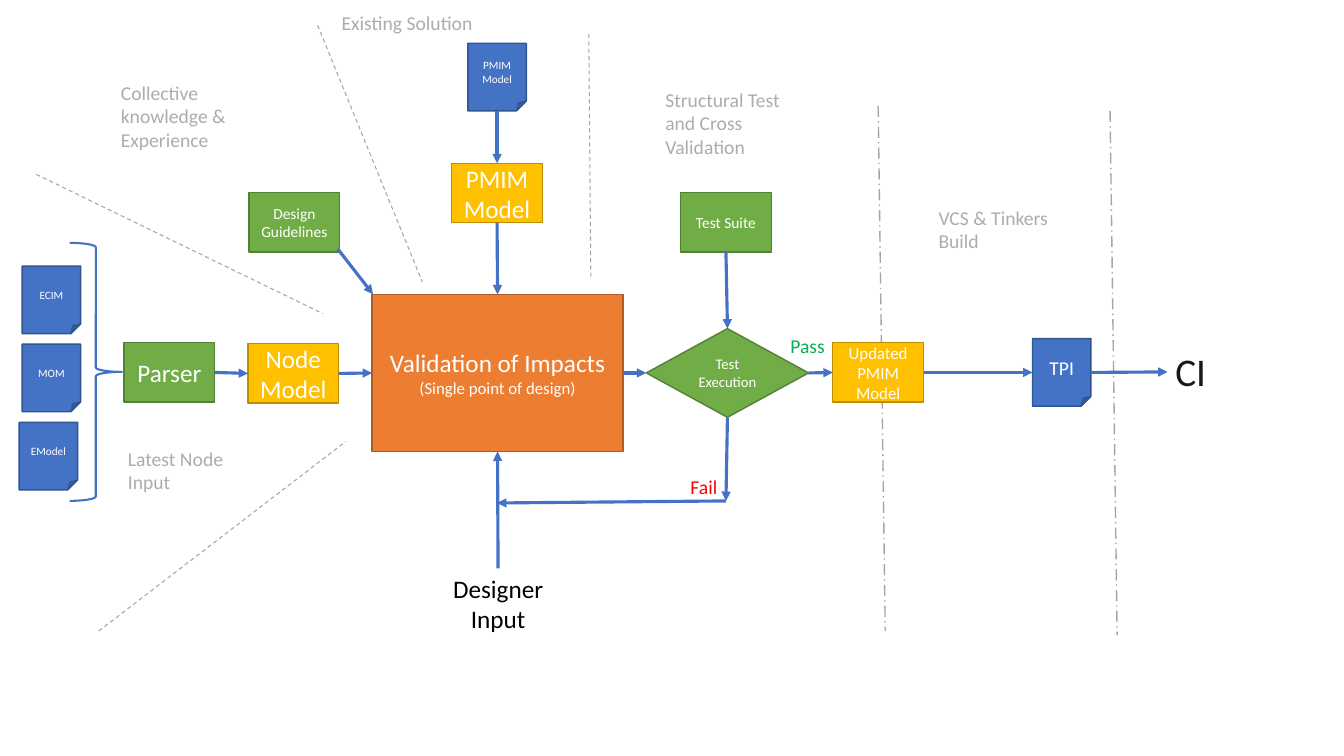
from lxml.etree import SubElement
from pptx import Presentation
from pptx.dml.color import RGBColor
from pptx.enum.dml import MSO_LINE as Dash
from pptx.enum.shapes import MSO_CONNECTOR as Connector, MSO_SHAPE as Shape
from pptx.enum.text import MSO_ANCHOR as Anchor, MSO_AUTO_SIZE as AutoSize, PP_ALIGN as Align
from pptx.oxml.ns import qn
from pptx.util import Inches, Pt

COLORS = {
    "blue": "4472C4", "blue_edge": "325491",
    "green": "70AD47", "green_edge": "538035",
    "gold": "FFC000", "gold_edge": "BD8E00",
    "orange": "ED7D31", "orange_edge": "AF5C24",
    "white": "FFFFFF", "black": "000000", "ink": "181717",
    "divider": "A5A5A5", "caption": "AFABAB",
    "pass": "00B050", "fail": "FF0000",
}
TOP, LEFT, BOTTOM, RIGHT = range(4)
STEP = (0.9, 0.59)
DOCUMENT = (0.58, 0.67)


def rgb(name):
    return RGBColor.from_string(COLORS[name])


def write(frame, lines, color, align):
    """Fill a text frame with (text, size) lines, one paragraph each."""
    frame.word_wrap = True
    for index, (text, size) in enumerate(lines):
        paragraph = frame.add_paragraph() if index else frame.paragraphs[0]
        paragraph.alignment = align
        run = paragraph.add_run()
        run.text = text
        for key, value in {"name": "Calibri", "size": Pt(size)}.items():
            setattr(run.font, key, value)
        run.font.color.rgb = rgb(color)


def add_node(slide, box, color, *lines, kind=Shape.RECTANGLE):
    node = slide.shapes.add_shape(kind, *map(Inches, box))
    node.shadow.inherit = False
    node.fill.solid()
    node.fill.fore_color.rgb = rgb(color)
    node.line.color.rgb = rgb(color + "_edge")
    node.line.width = Pt(1)
    node.text_frame.vertical_anchor = Anchor.MIDDLE
    write(node.text_frame, lines, "white", Align.CENTER)
    return node


def add_document(slide, left, top, text, size=8):
    return add_node(slide, (left, top, *DOCUMENT), "blue", (text, size), kind=Shape.FOLDED_CORNER)


def add_label(slide, box, text, size=14, color="caption", align=Align.LEFT):
    label = slide.shapes.add_textbox(*map(Inches, box))
    write(label.text_frame, [(text, size)], color, align)
    label.text_frame.auto_size = AutoSize.SHAPE_TO_FIT_TEXT
    return label


def add_line(slide, start, end, color, width, dash=None):
    line = slide.shapes.add_connector(Connector.STRAIGHT, *map(Inches, (*start, *end)))
    line.line.color.rgb = rgb(color)
    line.line.width = Pt(width)
    if dash:
        line.line.dash_style = dash
    SubElement(line._element.spPr, qn("a:effectLst"))
    return line


def add_arrow(slide, start, end):
    """Draw an arrow; each end is a point (x, y) or a joined (node, side)."""
    points = [(0, 0) if hasattr(stop[0], "shape_id") else stop for stop in (start, end)]
    arrow = add_line(slide, *points, "blue", 2.25)
    SubElement(arrow.line._get_or_add_ln(), qn("a:tailEnd"), type="triangle")
    for stop, join in ((start, arrow.begin_connect), (end, arrow.end_connect)):
        if hasattr(stop[0], "shape_id"):
            join(*stop)


def draw_dividers(slide):
    for start, end in (((8.71, 1.05), (8.78, 6.26)), ((11.01, 1.1), (11.08, 6.3))):
        add_line(slide, start, end, "divider", 1, Dash.LONG_DASH_DOT)
    for start, end in (((5.84, 0.34), (5.86, 2.76)), ((3.15, 0.25), (4.19, 2.8)),
                       ((0.36, 1.73), (3.2, 3.11)), ((0.98, 6.26), (3.43, 4.38))):
        add_line(slide, start, end, "divider", 0.75, Dash.DASH)


def draw_validation(slide, left, top):
    return add_node(slide, (left, top, 2.49, 1.56), "orange",
                    ("Validation of Impacts", 18), ("(Single point of design)", 12))


def draw_node_input(slide, left, top, validation):
    for row, (source, shift) in enumerate((("ECIM", 0.03), ("MOM", 0.03), ("EModel", 0))):
        add_document(slide, left + shift, top + 0.23 + row * 0.775, source)
    brace = slide.shapes.add_shape(
        Shape.RIGHT_BRACE, *map(Inches, (left + 0.5, top, 0.52, 2.56)))
    brace.shadow.inherit = False
    brace.fill.background()
    brace.line.color.rgb = rgb("blue")
    brace.line.width = Pt(1.5)
    parser = add_node(slide, (left + 1.04, top + 0.99, *STEP), "green", ("Parser", 18))
    model = add_node(slide, (left + 2.27, top + 1, *STEP), "gold", ("Node Model", 18))
    add_arrow(slide, (parser, RIGHT), (model, LEFT))
    add_arrow(slide, (model, RIGHT), (validation, LEFT))
    add_label(slide, (left + 0.98, top + 1.97, 1.18, 0.57), "Latest Node Input")


def draw_knowledge(slide, left, top):
    add_label(slide, (left, top, 1.37, 0.81), "Collective knowledge & Experience")
    add_node(slide, (left + 1.37, top + 1.16, *STEP), "green", ("Design Guidelines", 11))
    add_arrow(slide, (left + 2.25, top + 1.72), (left + 2.6, top + 2.17))


def draw_existing_solution(slide, left, top, validation):
    add_label(slide, (left, top, 1.6, 0.34), "Existing Solution")
    document = add_document(slide, left + 1.35, top + 0.37, "PMIM Model")
    model = add_node(slide, (left + 1.19, top + 1.56, *STEP), "gold", ("PMIM Model", 18))
    add_arrow(slide, (document, BOTTOM), (model, TOP))
    add_arrow(slide, (model, BOTTOM), (validation, TOP))


def draw_testing(slide, left, top, validation):
    """Place the test steps with their pass and fail ways; return the decision."""
    add_label(slide, (left + 0.09, top, 1.52, 0.81), "Structural Test and Cross Validation")
    suite = add_node(slide, (left + 0.34, top + 1.09, *STEP), "green", ("Test Suite", 11))
    execution = add_node(slide, (left, top + 2.44, 1.61, 0.88), "green",
                         ("Test Execution", 10.5), kind=Shape.FLOWCHART_DECISION)
    add_arrow(slide, (validation, RIGHT), (execution, LEFT))
    add_arrow(slide, (suite, BOTTOM), (execution, TOP))
    turn = (left + 0.79, top + 4.15)
    add_arrow(slide, (execution, BOTTOM), turn)
    add_arrow(slide, turn, (left - 1.48, top + 4.17))
    add_label(slide, (left + 1.33, top + 2.44, 0.6, 0.34), "Pass", color="pass")
    add_label(slide, (left + 0.34, top + 3.84, 0.68, 0.34), "Fail", color="fail")
    return execution


def draw_build(slide, left, top, execution):
    add_label(slide, (left + 0.95, top, 1.29, 0.57), "VCS & Tinkers Build")
    updated = add_node(slide, (left, top + 1.41, *STEP), "gold", ("Updated PMIM Model", 12))
    package = add_document(slide, left + 1.98, top + 1.37, "TPI", 14)
    add_arrow(slide, (execution, RIGHT), (updated, LEFT))
    add_arrow(slide, (updated, RIGHT), (package, LEFT))
    add_arrow(slide, (package, RIGHT), (left + 3.32, top + 1.7))
    add_label(slide, (left + 3.3, top + 1.41, 0.83, 0.57), "CI", 28, "ink")


def draw_designer_input(slide, left, top, validation):
    designer = add_label(slide, (left, top, 1.38, 0.71), "Designer Input", 18,
                         "black", Align.CENTER)
    add_arrow(slide, (designer, TOP), (validation, BOTTOM))


def main():
    deck = Presentation()
    deck.slide_width, deck.slide_height = Inches(13.33), Inches(7.5)
    slide = deck.slides.add_slide(deck.slide_layouts[6])
    draw_dividers(slide)
    validation = draw_validation(slide, 3.69, 2.92)
    draw_node_input(slide, 0.19, 2.41, validation)
    draw_knowledge(slide, 1.1, 0.75)
    draw_existing_solution(slide, 3.29, 0.06, validation)
    execution = draw_testing(slide, 6.41, 0.82, validation)
    draw_build(slide, 8.26, 1.99, execution)
    draw_designer_input(slide, 4.25, 5.64, validation)
    deck.save("out.pptx")


if __name__ == "__main__":
    main()
